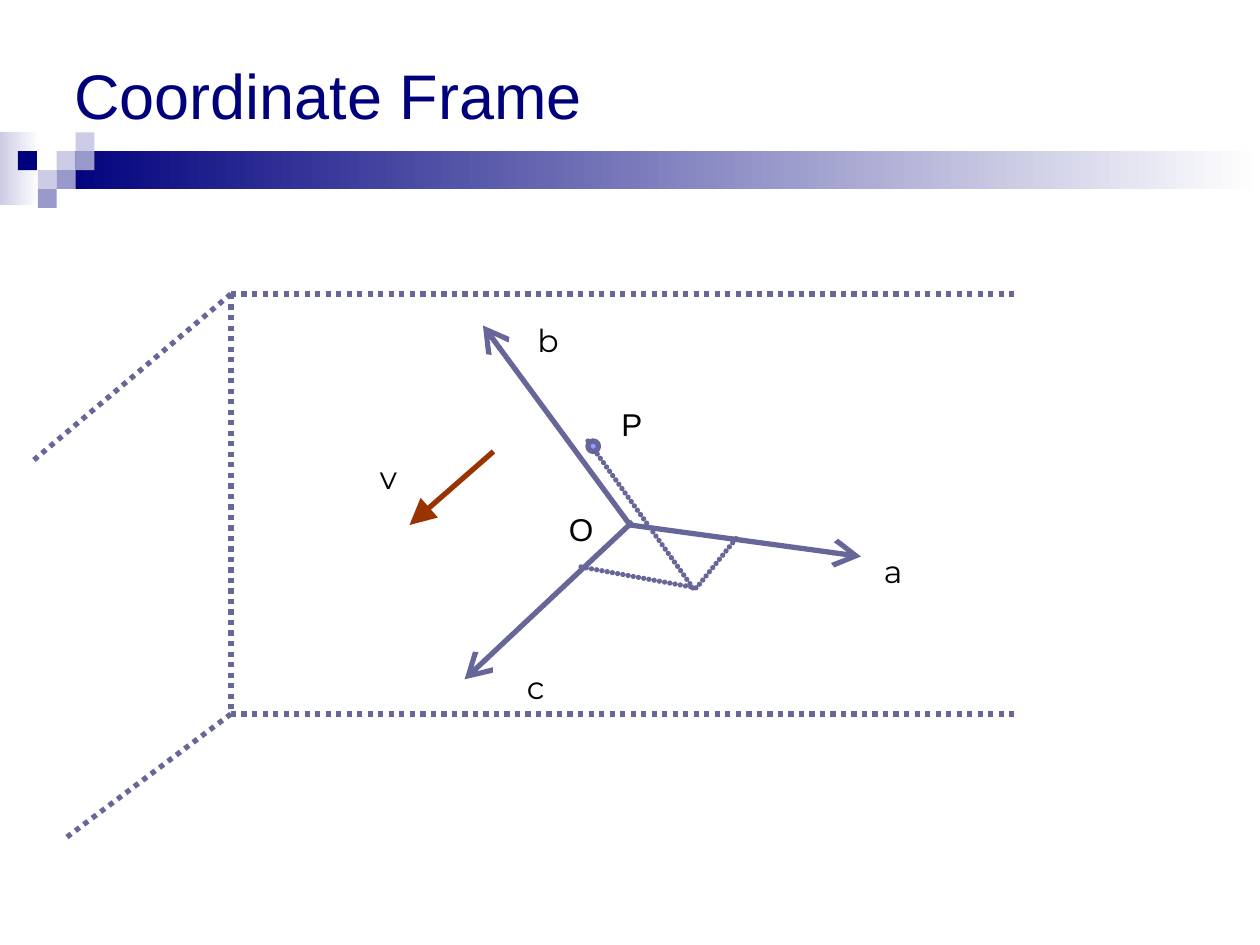
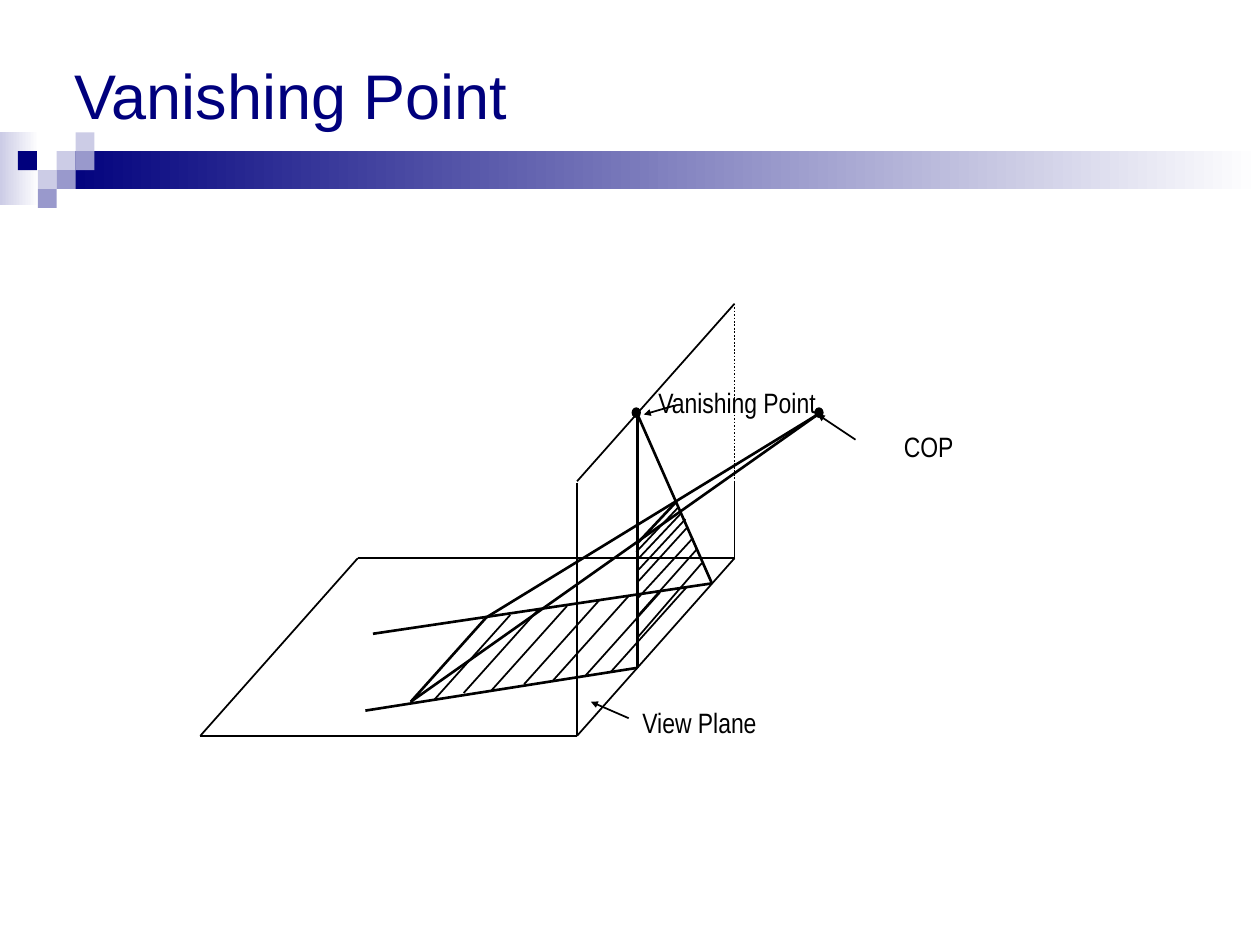
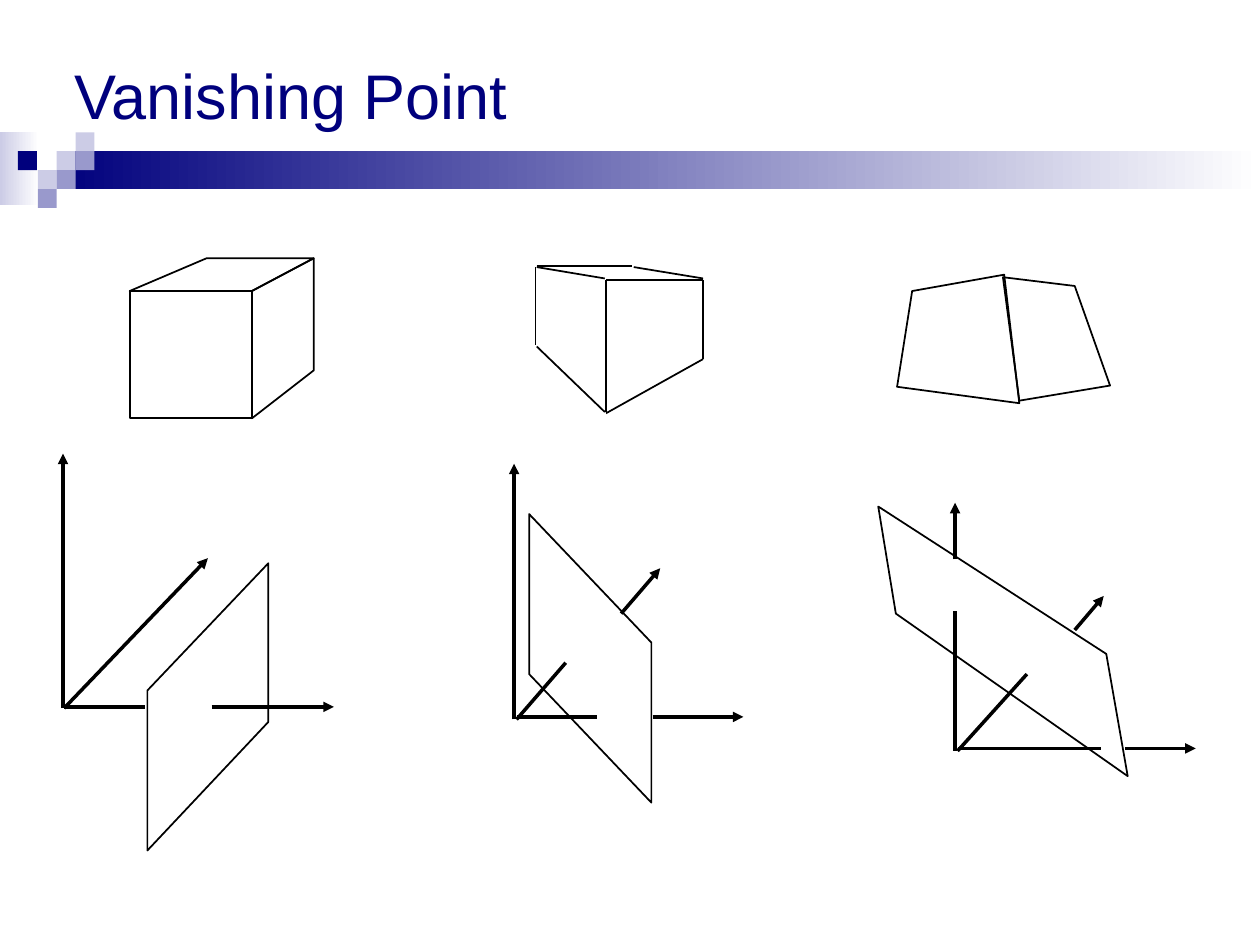
import pptx
import pptx.util
import pptx.dml.color
import pptx.enum.dml
import pptx.enum.shapes
import pptx.enum.text
import pptx.oxml
import pptx.oxml.ns

WIDE, HIGH = 10, 7.5
CELL = 0.15  # side of a band square
STEP = 1 / 12  # drawing grid of the frame slide
COLORS = {
    "navy": "00007D", "pale": "CCCCE6", "mid": "9999CC", "white": "FFFFFF",
    "slate": "666699", "rust": "993300", "dot": "9999FF", "black": "000000",
}
SHAPE = pptx.enum.shapes.MSO_SHAPE

# Band squares as column, row, colour
SQUARES = [
    (3, 8, "pale"), (4, 7, "pale"), (4, 8, "mid"), (2, 9, "pale"),
    (0.95, 8, "navy"), (3, 9, "mid"), (2, 10, "mid"),
]

# Coordinate frame, in grid steps
ROOM = [
    ((22, 28), (22, 68)), ((22, 28), (3, 44)), ((22, 68), (6, 80)),
    ((22, 68), (97, 68)), ((22, 28), (97, 28)),
]
AXES = [
    ((60, 50), (46, 31)), ((60.25, 49.7), (44.25, 64.7)), ((60, 50), (82, 53)),
]
VECTOR = ((47, 43), (39, 50))
BASE = [(55.33, 54), (66.33, 56), (70.33, 51)]
POINT = (56, 42)
DROP = ((66, 56), POINT)
NAMES = [
    ("P", 58, 38, "Arial"), ("v", 35, 43, "Montserrat"),
    ("c", 49, 63, "Montserrat"), ("a", 83, 52, "Montserrat"),
    ("b", 50, 30, "Montserrat"), ("O", 53, 48, "Arial"),
]

# Vanishing point, in inches
VANISH, COP = (5.06, 3.29), (6.49, 3.29)
NEAR, FAR = (5.06, 5.3), (5.65, 4.63)
LEFT, RIGHT = (3.26, 5.57), (3.86, 4.9)
PLANES = [
    ((5.83, 4.43), (4.58, 5.84)), ((4.58, 3.83), (4.58, 5.84)),
    ((2.84, 4.43), (5.83, 4.43)), ((1.59, 5.84), (4.58, 5.84)),
    ((2.84, 4.43), (1.59, 5.84)), ((5.83, 2.41), (4.58, 3.82)),
    ((5.83, 3.82), (5.83, 4.43)),
]
HIDDEN = ((5.83, 2.41), (5.83, 3.82))
RAYS = [
    (VANISH, NEAR), (VANISH, FAR), (COP, LEFT), (COP, RIGHT), (RIGHT, LEFT),
    (NEAR, (2.9, 5.64)), (FAR, (2.96, 5.03)), ((5.06, 4.31), (5.37, 3.98)),
]
FLOOR = [  # upper end of each hatch line
    (4.05, 4.88), (4.28, 4.83), (4.5, 4.81), (4.76, 4.76),
    (4.99, 4.73), (5.24, 4.7), (5.45, 4.66),
]
WALL = [
    ((5.05, 4.38), (5.38, 4.03)), ((5.07, 4.43), (5.4, 4.08)),
    ((5.07, 4.52), (5.44, 4.12)), ((5.07, 4.61), (5.46, 4.18)),
    ((5.06, 4.75), (5.5, 4.27)), ((5.06, 4.89), (5.53, 4.36)),
    ((5.06, 5.06), (5.57, 4.47)),
]
POINTERS = [
    ((6.79, 3.49), COP), ((5.35, 3.22), (5.11, 3.29)), ((4.99, 5.7), (4.69, 5.57)),
]
DOTS = [(5.02, 3.24), (6.47, 3.24)]
NOTES = [
    ("Vanishing Point", 5.12, 3.01, 1.46, "CENTER"),
    ("COP", 7.06, 3.36, 0.62, "CENTER"),
    ("View Plane", 5, 5.55, 1.11, "LEFT"),
]

# One, two and three vanishing points, in inches
FACES = [
    [(1.03, 2.31), (1.03, 3.32), (2, 3.32), (2, 2.31)],
    [(2, 3.32), (2.49, 2.94), (2.49, 2.05), (2, 2.31)],
    [(1.03, 2.31), (2, 2.31), (2.49, 2.05), (1.64, 2.05)],
    [(8.09, 3.2), (7.12, 3.07), (7.24, 2.31), (7.97, 2.18)],
    [(7.96, 2.2), (8.53, 2.27), (8.81, 3.06), (8.09, 3.18)],
    [(2.13, 5.73), (1.17, 6.75), (1.17, 5.48), (2.13, 4.47)],
    [(4.2, 5.35), (5.17, 6.37), (5.17, 5.1), (4.2, 4.08)],
    [(8.95, 6.16), (7.11, 4.87), (6.97, 4.02), (8.78, 5.19)],
]
EDGES = [
    ((4.81, 2.22), (4.81, 3.27)), ((4.25, 2.12), (4.25, 2.74)),
    ((5.58, 2.22), (5.58, 2.85)), ((4.26, 2.12), (4.8, 2.21)),
    ((4.26, 2.75), (4.8, 3.27)), ((4.81, 2.22), (5.58, 2.22)),
    ((4.81, 3.28), (5.58, 2.85)), ((4.26, 2.11), (5.02, 2.11)),
    ((5.03, 2.12), (5.58, 2.21)),
]
STEMS = [
    ((0.51, 5.61), (1.15, 5.61)), ((4.1, 5.69), (4.74, 5.69)),
    ((4.1, 5.71), (4.49, 5.26)), ((7.58, 5.96), (7.58, 4.85)),
    ((7.6, 5.96), (8.15, 5.35)), ((7.6, 5.94), (8.74, 5.94)),
]
ARROWS = [
    ((4.08, 5.71), (4.08, 3.68)), ((0.51, 5.62), (1.65, 4.43)),
    ((0.5, 5.62), (0.5, 3.6)), ((1.68, 5.61), (2.65, 5.61)),
    ((5.18, 5.69), (5.9, 5.69)), ((4.93, 4.87), (5.24, 4.51)),
    ((7.58, 4.44), (7.58, 3.99)), ((8.53, 5), (8.76, 4.73)),
    ((8.93, 5.94), (9.49, 5.94)),
]


def inch(*vals):
    return [pptx.util.Inches(v) for v in vals]


def scale(pts):
    return [(x * STEP, y * STEP) for x, y in pts]


def rgb(name):
    return pptx.dml.color.RGBColor.from_string(COLORS[name])


def node(root, tag, **attrs):
    part = pptx.oxml.parse_xml(f"<a:{tag} {pptx.oxml.ns.nsdecls('a')}/>")
    for key, val in attrs.items():
        part.set(key, val)
    root.append(part)
    return part


def stroke(shape, color, width, dash="", head="", size="med"):
    """Style a line; dash is "", "dot" or "bead"."""
    line = shape.line
    line.color.rgb = rgb(color)
    line.width = pptx.util.Pt(width)
    if dash == "dot":
        line.dash_style = pptx.enum.dml.MSO_LINE.ROUND_DOT
    root = shape.element.spPr.find(pptx.oxml.ns.qn("a:ln"))
    if dash == "bead":
        root.set("cap", "rnd")
        node(node(root, "custDash"), "ds", d="100000", sp="1000")
    if head:
        node(root, "tailEnd", type=head, w=size, len=size)


def link(slide, ends, *style):
    (x1, y1), (x2, y2) = ends
    kind = pptx.enum.shapes.MSO_CONNECTOR.STRAIGHT
    line = slide.shapes.add_connector(kind, *inch(x1, y1, x2, y2))
    stroke(line, *style)
    node(line.element.spPr, "effectLst")


def links(slide, rows, *style):
    for ends in rows:
        link(slide, ends, *style)


def trace(slide, pts, close, *style):
    """Draw an unfilled outline through the points."""
    spots = [inch(*p) for p in pts]
    pen = slide.shapes.build_freeform(*spots[0])
    pen.add_line_segments(spots[1:], close=close)
    shape = pen.convert_to_shape()
    shape.shadow.inherit = False
    shape.fill.background()
    stroke(shape, *style)


def block(slide, kind, box, *fills):
    """Add a shape with one flat fill, or a fade between two."""
    shape = slide.shapes.add_shape(kind, *inch(*box))
    shape.shadow.inherit = False
    shape.line.fill.background()
    if len(fills) == 1:
        shape.fill.solid()
        shape.fill.fore_color.rgb = rgb(fills[0])
    else:
        shape.fill.gradient()
        shape.fill.gradient_angle = 0
        for stop, name, pos in zip(shape.fill.gradient_stops, fills, (0, 1)):
            stop.color.rgb = rgb(name)
            stop.position = pos
    return shape


def write(frame, text, size, font, color, align="LEFT"):
    frame.text = text
    para = frame.paragraphs[0]
    para.alignment = pptx.enum.text.PP_ALIGN[align]
    face = para.runs[0].font
    face.size, face.name = pptx.util.Pt(size), font
    face.color.rgb = rgb(color)


def label(slide, text, box, size, font, align="LEFT", wrap=True):
    frame = slide.shapes.add_textbox(*inch(*box)).text_frame
    frame.word_wrap = wrap
    if not wrap:
        frame.vertical_anchor = pptx.enum.text.MSO_ANCHOR.MIDDLE
    write(frame, text, size, font, "black", align)


def bands(slide):
    """Draw the bands and hand them to the layout all slides share."""
    parts = [
        block(slide, SHAPE.RECTANGLE, (0, 1.05, 0.31, 0.58), "pale", "white"),
        block(slide, SHAPE.RECTANGLE, (3 * CELL, 8 * CELL, WIDE - 3 * CELL, 2 * CELL),
              "navy", "white"),
    ]
    for col, row, color in SQUARES:
        box = (col * CELL, row * CELL, CELL, CELL)
        parts.append(block(slide, SHAPE.RECTANGLE, box, color))
    for part in parts:
        slide.slide_layout.shapes.element.append(part.element)


def start(deck, text):
    slide = deck.slides.add_slide(deck.slide_layouts[5])
    title = slide.shapes.title
    title.left, title.top, title.width, title.height = inch(0.49, 0, 9, 1.5)
    title.text_frame.vertical_anchor = pptx.enum.text.MSO_ANCHOR.MIDDLE
    write(title.text_frame, text, 36, "Arial", "navy")
    return slide


def frame_slide(deck):
    slide = start(deck, "Coordinate Frame")
    bands(slide)
    links(slide, map(scale, ROOM), "slate", 3, "dot")
    links(slide, map(scale, AXES), "slate", 3, "", "arrow", "lg")
    trace(slide, scale(BASE), False, "slate", 3, "bead")
    link(slide, scale(DROP), "slate", 3, "bead")
    link(slide, scale(VECTOR), "rust", 3, "", "triangle", "lg")
    x, y = scale([POINT])[0]
    stroke(block(slide, SHAPE.OVAL, (x, y, STEP, STEP), "dot"), "slate", 3)
    for text, col, row, font in NAMES:
        label(slide, text, (col * STEP, row * STEP, 5 * STEP, 0.4), 18, font)


def point_slide(deck):
    slide = start(deck, "Vanishing Point")
    floor = [((x, y), (x - 0.6, y + 0.67)) for x, y in FLOOR]
    links(slide, PLANES + floor + WALL, "black", 1)
    links(slide, RAYS, "black", 1.5)
    link(slide, HIDDEN, "black", 1, "dot")
    for text, x, y, wide, align in NOTES:
        label(slide, text, (x, y, wide, 0.37), 16, "Arial Narrow", align, False)
    for x, y in DOTS:
        stroke(block(slide, SHAPE.OVAL, (x, y, 0.06, 0.07), "black"), "black", 1)
    links(slide, POINTERS, "black", 1, "", "triangle", "sm")


def views_slide(deck):
    slide = start(deck, "Vanishing Point")
    for pts in FACES:
        trace(slide, pts, True, "black", 1)
    links(slide, EDGES, "black", 1)
    links(slide, STEMS, "black", 2)
    links(slide, ARROWS, "black", 2, "", "triangle")


def main():
    deck = pptx.Presentation()
    deck.slide_width, deck.slide_height = inch(WIDE, HIGH)
    frame_slide(deck)
    point_slide(deck)
    views_slide(deck)
    deck.save("out.pptx")


if __name__ == "__main__":
    main()
